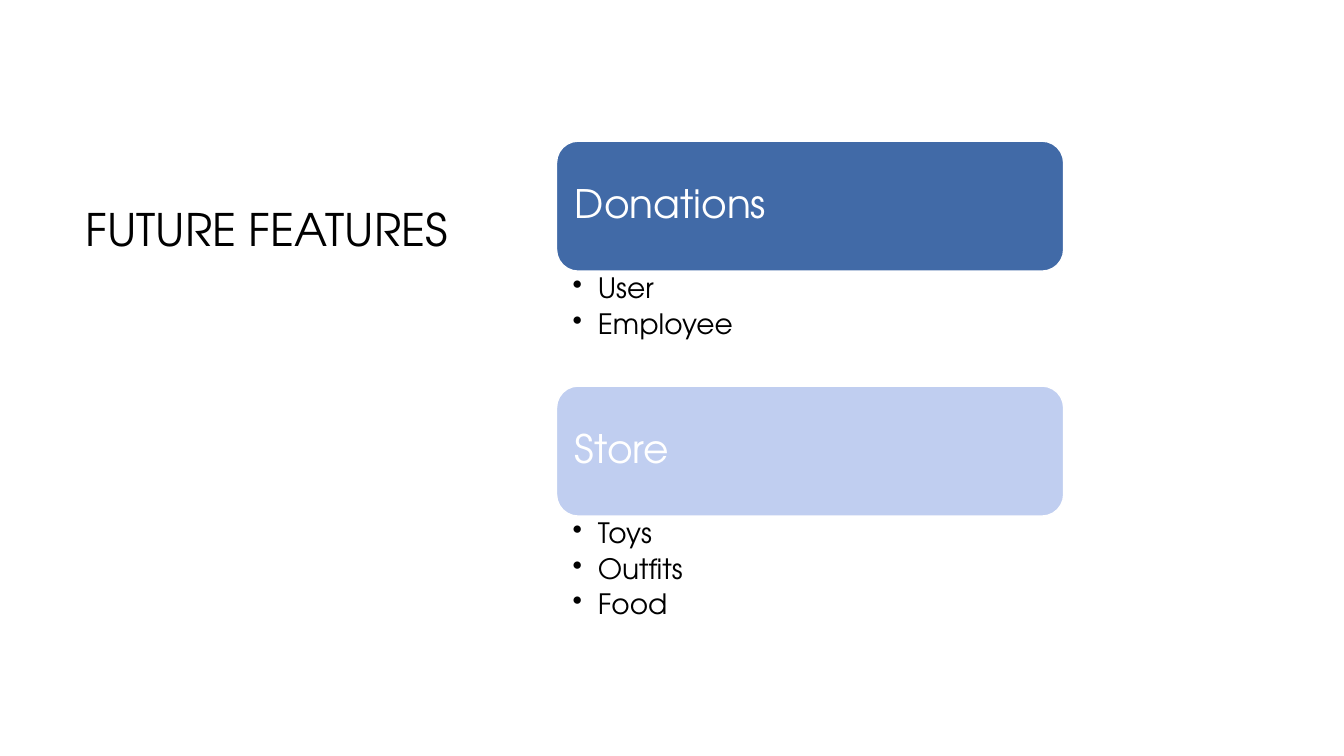
from dataclasses import dataclass

from lxml.etree import SubElement
from pptx import Presentation
from pptx.dml.color import RGBColor
from pptx.enum.shapes import MSO_SHAPE
from pptx.enum.text import MSO_ANCHOR, MSO_AUTO_SIZE, PP_ALIGN
from pptx.oxml.ns import qn
from pptx.util import Inches, Pt


@dataclass(frozen=True)
class Theme:
    """Colours, font and type sizes of the slide."""
    font: str = "TeX Gyre Adventor"
    dark: RGBColor = RGBColor(0x00, 0x00, 0x00)
    light: RGBColor = RGBColor(0xFF, 0xFF, 0xFF)
    donations: RGBColor = RGBColor(0x41, 0x6A, 0xA7)
    store: RGBColor = RGBColor(0xC0, 0xCE, 0xF0)
    title_size: int = 32
    heading_size: int = 28
    item_size: int = 20


THEME = Theme()
FEATURES = [
    ("Donations", THEME.donations, ["User", "Employee"]),
    ("Store", THEME.store, ["Toys", "Outfits", "Food"]),
]


def format_paragraph(paragraph, size, color, space_after=0):
    """Set alignment, spacing and font of a paragraph."""
    paragraph.alignment = PP_ALIGN.LEFT
    paragraph.line_spacing = 0.9
    paragraph.space_before = Pt(0)
    paragraph.space_after = Pt(space_after)
    for run in paragraph.runs:
        run.font.name = THEME.font
        run.font.size = Pt(size)
        run.font.color.rgb = color


def set_margins(text_frame, horizontal, vertical):
    """Set the inner margins of a wrapped text frame in inches."""
    text_frame.word_wrap = True
    text_frame.margin_left = text_frame.margin_right = Inches(horizontal)
    text_frame.margin_top = text_frame.margin_bottom = Inches(vertical)


def add_bullet(paragraph):
    """Give a paragraph a hanging bullet."""
    paragraph.level = 1
    properties = paragraph._p.get_or_add_pPr()
    properties.set("marL", str(Inches(0.25)))
    properties.set("indent", str(Inches(-0.25)))
    SubElement(properties, qn("a:buChar")).set("char", "•")


def place_title(slide, text, left, top, width, height):
    """Move and format the title placeholder."""
    title = slide.shapes.title
    title.left, title.top = Inches(left), Inches(top)
    title.width, title.height = Inches(width), Inches(height)
    text_frame = title.text_frame
    text_frame.text = text
    text_frame.auto_size = MSO_AUTO_SIZE.NONE
    text_frame.vertical_anchor = MSO_ANCHOR.BOTTOM
    set_margins(text_frame, 0.1, 0.05)
    format_paragraph(text_frame.paragraphs[0], THEME.title_size, THEME.dark)


def add_heading(slide, text, color, left, top, width, height):
    """Add the rounded bar that names a feature."""
    bar = slide.shapes.add_shape(
        MSO_SHAPE.ROUNDED_RECTANGLE,
        Inches(left), Inches(top), Inches(width), Inches(height),
    )
    bar.shadow.inherit = False
    bar.fill.solid()
    bar.fill.fore_color.rgb = color
    bar.line.color.rgb = THEME.light
    bar.line.width = Pt(1)
    text_frame = bar.text_frame
    text_frame.text = text
    text_frame.vertical_anchor = MSO_ANCHOR.MIDDLE
    set_margins(text_frame, 0.12, 0.12)
    format_paragraph(text_frame.paragraphs[0], THEME.heading_size, THEME.light, 9.8)


def add_items(slide, items, left, top, width, height):
    """Add the bulleted items of a feature."""
    box = slide.shapes.add_textbox(
        Inches(left), Inches(top), Inches(width), Inches(height)
    )
    text_frame = box.text_frame
    text_frame.text = "\n".join(items)
    set_margins(text_frame, 0.16, 0.03)
    for paragraph in text_frame.paragraphs:
        format_paragraph(paragraph, THEME.item_size, THEME.dark, 4)
        add_bullet(paragraph)


def add_feature_list(slide, features, left, top, width, height):
    """Stack the features in equal rows, each a heading above its items."""
    row_height = height / len(features)
    heading_height = 1.29
    for index, (name, color, items) in enumerate(features):
        row_top = top + index * row_height
        add_heading(slide, name, color, left, row_top, width, heading_height)
        add_items(slide, items, left, row_top + heading_height, width,
                  row_height - heading_height)


def main():
    """Build and save the presentation."""
    presentation = Presentation()
    presentation.slide_width = Inches(13.33)
    presentation.slide_height = Inches(7.5)
    slide = presentation.slides.add_slide(presentation.slide_layouts[5])
    place_title(slide, "FUTURE FEATURES", 0.75, 0.84, 4.35, 1.75)
    add_feature_list(slide, FEATURES, 5.52, 1.4, 5.03, 4.86)
    presentation.save("out.pptx")


if __name__ == "__main__":
    main()
